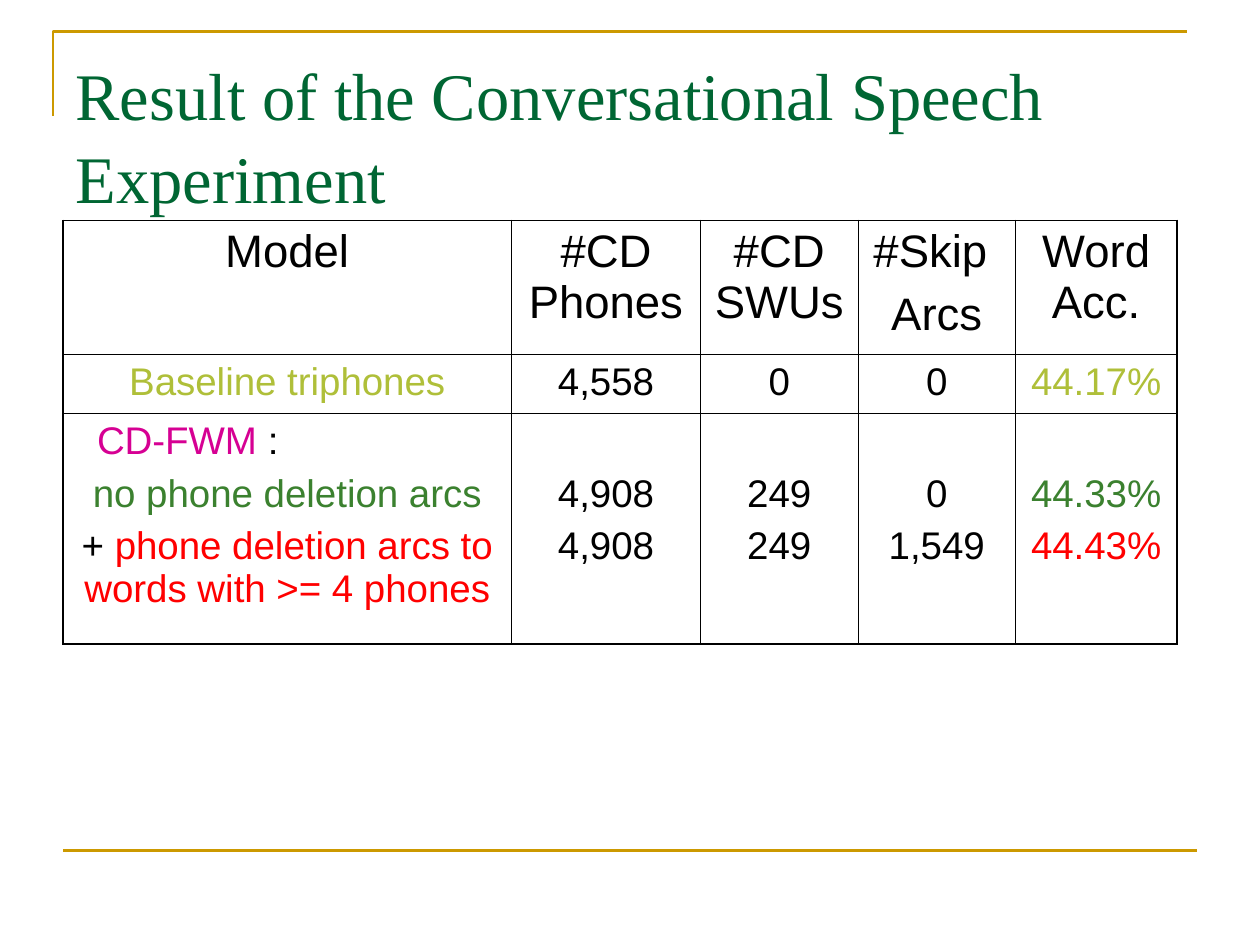
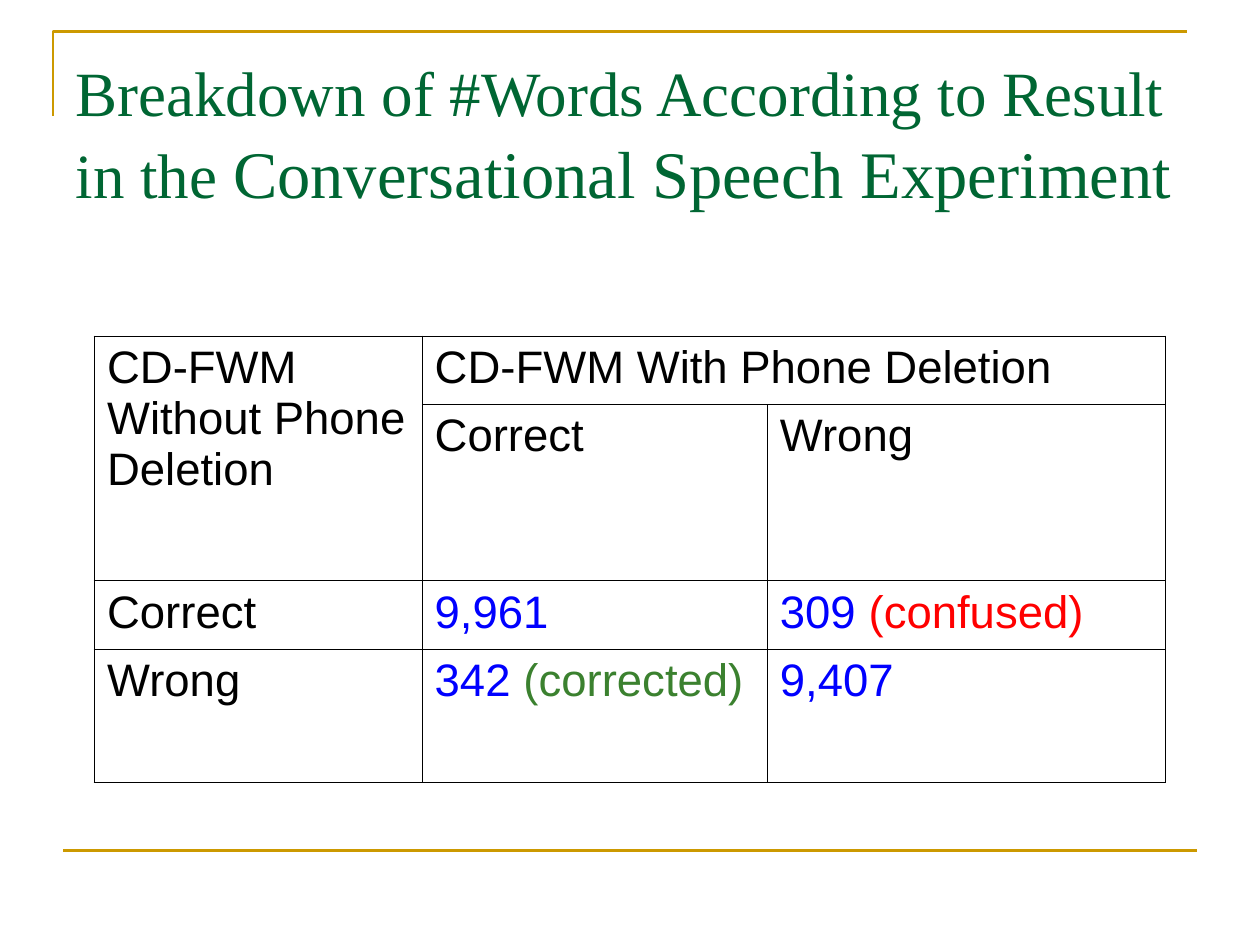
import pptx
import pptx.dml.color
import pptx.enum.shapes
import pptx.enum.text
import pptx.oxml
import pptx.oxml.ns
import pptx.util
from dataclasses import dataclass

Inches = pptx.util.Inches
Pt = pptx.util.Pt
Align = pptx.enum.text.PP_ALIGN


@dataclass(frozen=True)
class Theme:
    title_font: str = "Times New Roman"
    body_font: str = "Arial"
    title: str = "006633"
    rule: str = "CC9900"
    black: str = "000000"
    olive: str = "AFBF39"
    magenta: str = "D60093"
    green: str = "3B812F"
    red: str = "FF0000"
    blue: str = "0000FF"
    title_size: int = 38
    title_small: int = 36
    head_size: int = 26
    body_size: int = 22
    rule_width: float = 1.5
    outer_border: float = 1.08
    inner_border: float = 0.45


THEME = Theme()

# A cell is a list of paragraphs, a paragraph a list of (text, colour) runs.
# A plain string is one black paragraph; None is covered by a merged cell.
RESULTS = {
    "title": [("Result of the Conversational Speech Experiment", THEME.title_size)],
    "title_width": 9,
    "at": (0.5, 1.75),
    "columns": [3.56, 1.5, 1.25, 1.25, 1.28],
    "rows": [1.06, 0.47, 1.83],
    "sizes": [THEME.head_size, THEME.body_size, THEME.body_size],
    "align": Align.CENTER,
    "cells": [
        ["Model", "#CD Phones", "#CD SWUs",
         [[("#Skip ", THEME.black)], [("Arcs", THEME.black)]], "Word Acc."],
        [[[("Baseline triphones", THEME.olive)]], "4,558", "0", "0",
         [[("44.17%", THEME.olive)]]],
        [[[("CD-FWM ", THEME.magenta), (":", THEME.black)],
          [("no phone deletion arcs", THEME.green)],
          [("+ ", THEME.black),
           ("phone deletion arcs to words with >= 4 phones", THEME.red)]],
         [[("4,908", THEME.black)], [("4,908", THEME.black)]],
         [[("249", THEME.black)], [("249", THEME.black)]],
         [[("0", THEME.black)], [("1,549", THEME.black)]],
         [[("44.33%", THEME.green)], [("44.43%", THEME.red)]]],
    ],
    "merges": [],
}

BREAKDOWN = {
    "title": [("Breakdown of #Words According to Result in the ", THEME.title_small),
              ("Conversational Speech Experiment", THEME.title_size)],
    "title_width": 9.15,
    "at": (0.75, 2.67),
    "columns": [2.6, 2.74, 3.16],
    "rows": [0.54, 1.4, 0.54, 1.06],
    "sizes": [THEME.head_size] * 4,
    "align": Align.LEFT,
    "cells": [
        ["CD-FWM Without Phone Deletion", "CD-FWM With Phone Deletion", None],
        [None, "Correct", "Wrong"],
        ["Correct", [[("9,961", THEME.blue)]],
         [[("309 ", THEME.blue), ("(confused)", THEME.red)]]],
        ["Wrong", [[("342 ", THEME.blue), ("(corrected)", THEME.green)]],
         [[("9,407", THEME.blue)]]],
    ],
    "merges": [((0, 0), (1, 0)), ((0, 1), (0, 2))],
}


def add_run(paragraph, text, font_name, size, colour):
    run = paragraph.add_run()
    run.text = text
    run.font.name = font_name
    run.font.size = Pt(size)
    run.font.color.rgb = pptx.dml.color.RGBColor.from_string(colour)


def style_rule(shape):
    shape.line.color.rgb = pptx.dml.color.RGBColor.from_string(THEME.rule)
    shape.line.width = Pt(THEME.rule_width)


def add_frame(slide):
    """Draw the corner line above the title and the line at the foot."""
    builder = slide.shapes.build_freeform(Inches(0.42), Inches(0.92))
    builder.add_line_segments([(Inches(0.42), Inches(0.25)),
                               (Inches(9.42), Inches(0.25))], close=False)
    corner = builder.convert_to_shape()
    corner.fill.background()
    corner.shadow.inherit = False
    style_rule(corner)

    foot = slide.shapes.add_connector(
        pptx.enum.shapes.MSO_CONNECTOR.STRAIGHT,
        Inches(0.5), Inches(6.75), Inches(9.5), Inches(6.75))
    style_rule(foot)
    properties = foot._element.spPr
    properties.append(properties.makeelement(pptx.oxml.ns.qn("a:effectLst"), {}))


def set_title(slide, runs, width):
    title = slide.shapes.title
    title.left, title.top = Inches(0.5), Inches(0.3)
    title.width, title.height = Inches(width), Inches(1.25)
    frame = title.text_frame
    frame.word_wrap = True
    frame.auto_size = pptx.enum.text.MSO_AUTO_SIZE.NONE
    frame.vertical_anchor = pptx.enum.text.MSO_ANCHOR.TOP
    frame.margin_top = Inches(0.1)
    paragraph = frame.paragraphs[0]
    paragraph.alignment = Align.LEFT
    paragraph.line_spacing = 1.04
    for text, size in runs:
        add_run(paragraph, text, THEME.title_font, size, THEME.title)


def set_borders(cell, outer_sides):
    properties = cell._tc.get_or_add_tcPr()
    for side in "LRTB":
        points = THEME.outer_border if side in outer_sides else THEME.inner_border
        properties.append(pptx.oxml.parse_xml(
            f'<a:ln{side} {pptx.oxml.ns.nsdecls("a")} w="{Pt(points)}">'
            f'<a:solidFill><a:srgbClr val="{THEME.black}"/></a:solidFill>'
            f'</a:ln{side}>'))


def fill_cell(cell, content, size, alignment):
    if isinstance(content, str):
        content = [[(content, THEME.black)]]
    for index, runs in enumerate(content):
        frame = cell.text_frame
        paragraph = frame.add_paragraph() if index else frame.paragraphs[0]
        paragraph.alignment = alignment
        paragraph.space_before = Pt(size / 4)
        for text, colour in runs:
            add_run(paragraph, text, THEME.body_font, size, colour)


def add_grid(slide, content):
    columns, rows = content["columns"], content["rows"]
    left, top = content["at"]
    table = slide.shapes.add_table(
        len(rows), len(columns), Inches(left), Inches(top),
        Inches(sum(columns)), Inches(sum(rows))).table
    table.first_row = table.horz_banding = False
    for column, width in zip(table.columns, columns):
        column.width = Inches(width)
    for row, height in zip(table.rows, rows):
        row.height = Inches(height)
    for start, end in content["merges"]:
        table.cell(*start).merge(table.cell(*end))

    for i, row in enumerate(content["cells"]):
        for j, cell_content in enumerate(row):
            cell = table.cell(i, j)
            edges = {"L": j == 0, "R": j == len(columns) - 1,
                     "T": i == 0, "B": i == len(rows) - 1}
            set_borders(cell, [side for side, outer in edges.items() if outer])
            cell.fill.background()
            if cell_content is not None:
                fill_cell(cell, cell_content, content["sizes"][i], content["align"])
    return table


def add_content_slide(presentation, content):
    slide = presentation.slides.add_slide(presentation.slide_layouts[5])
    add_frame(slide)
    set_title(slide, content["title"], content["title_width"])
    return add_grid(slide, content)


def main():
    presentation = pptx.Presentation()
    presentation.slide_width, presentation.slide_height = Inches(10), Inches(7.5)

    results = add_content_slide(presentation, RESULTS)
    model_name = results.cell(2, 0).text_frame.paragraphs[0]
    model_name.alignment = Align.LEFT
    model_name._p.get_or_add_pPr().set("marL", str(Inches(0.17)))
    for column in range(1, len(RESULTS["columns"])):
        # The figures start beside the second line of the model cell.
        results.cell(2, column).margin_top = Inches(0.47)

    add_content_slide(presentation, BREAKDOWN)
    presentation.save("out.pptx")


if __name__ == "__main__":
    main()
